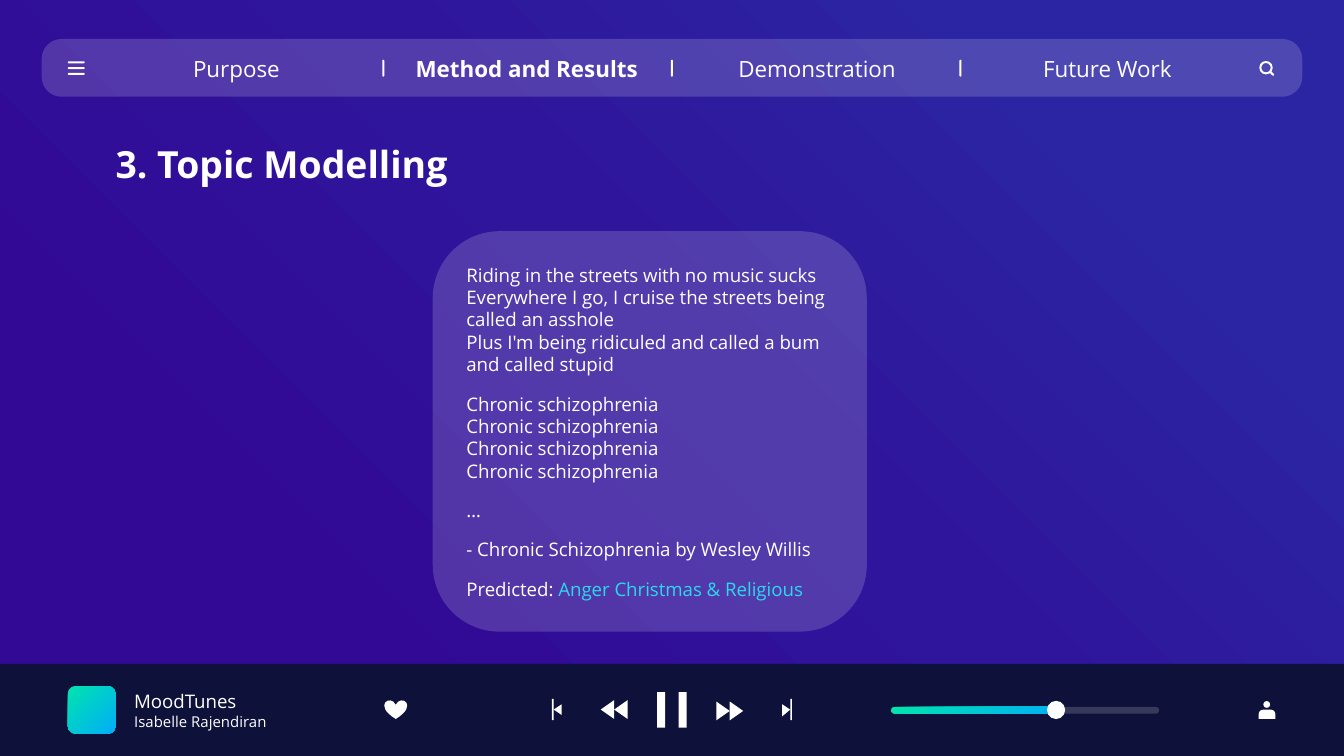
import copy
from dataclasses import dataclass

import lxml.etree
import pptx
import pptx.dml.color
import pptx.enum.shapes
import pptx.enum.text
import pptx.oxml.ns
import pptx.util

RGB = pptx.dml.color.RGBColor
SHAPE = pptx.enum.shapes.MSO_SHAPE
ALIGN = pptx.enum.text.PP_ALIGN
ANCHOR = pptx.enum.text.MSO_ANCHOR
qn = pptx.oxml.ns.qn

WHITE = RGB(0xFF, 0xFF, 0xFF)
NAVY = RGB(0x0E, 0x11, 0x39)
CYAN = RGB(0x00, 0xD1, 0xE9)
BACKDROP = [(0.21, RGB(0x31, 0x09, 0x95)), (0.53, RGB(0x2F, 0x15, 0x9B)),
            (0.82, RGB(0x2B, 0x25, 0xA3))]
ACCENT = [(0, RGB(0x00, 0xE4, 0xAE)), (1, RGB(0x00, 0xAE, 0xF8))]
FONT = "Open Sans"
GLASS = 17  # opacity of the pale panels, in percent
CELL = pptx.util.Inches(0.01)  # the grid has 1000 columns across the slide


@dataclass
class Box:
    col: float
    row: float
    cols: float
    rows: float

    def emu(self) -> list[int]:
        return [round(v * CELL) for v in (self.col, self.row, self.cols, self.rows)]


@dataclass
class Run:
    text: str
    size: float
    bold: bool = False
    color: RGB = WHITE


def set_gradient(fill, element, stops: list, angle: float) -> None:
    fill.gradient()
    fill.gradient_angle = angle
    gs_list = next(element.iter(qn("a:gsLst")))
    while len(gs_list) < len(stops):
        gs_list.append(copy.deepcopy(gs_list[0]))
    for stop, (position, color) in zip(fill.gradient_stops, stops):
        stop.position = position
        stop.color.rgb = color


def paint(sp, color: RGB = WHITE, opacity: int = 100) -> None:
    sp.shadow.inherit = False
    sp.line.fill.background()
    sp.fill.solid()
    sp.fill.fore_color.rgb = color
    if opacity < 100:
        clr = next(sp.element.iter(qn("a:srgbClr")))
        lxml.etree.SubElement(clr, qn("a:alpha"), val=str(opacity * 1000))


def add_shape(s, kind, box: Box, color: RGB = WHITE, opacity: int = 100, adj=()):
    sp = s.shapes.add_shape(kind, *box.emu())
    paint(sp, color, opacity)
    for i, value in enumerate(adj):
        sp.adjustments[i] = value
    return sp


def add_triangle(s, base: float, tip: float, middle: float, half: float) -> None:
    fb = s.shapes.build_freeform(base, middle - half, scale=CELL)
    fb.add_line_segments([(tip, middle), (base, middle + half)])
    paint(fb.convert_to_shape())


def write(p, runs: list[Run], align=ALIGN.LEFT) -> None:
    p.alignment = align
    for run in runs:
        for i, line in enumerate(run.text.split("\n")):
            if i:
                p.add_line_break()
            r = p.add_run()
            r.text = line
            r.font.name, r.font.size = FONT, pptx.util.Pt(run.size)
            r.font.bold, r.font.color.rgb = run.bold, run.color
    # Line breaks take the size of the text around them
    for br in p._p.findall(qn("a:br")):
        br.append(copy.deepcopy(p.runs[0]._r.rPr))


def fit_frame(sp, box: Box, anchor):
    sp.left, sp.top, sp.width, sp.height = box.emu()
    tf = sp.text_frame
    tf.word_wrap = True
    tf.auto_size = pptx.enum.text.MSO_AUTO_SIZE.NONE
    tf.vertical_anchor = anchor
    tf.margin_left = tf.margin_right = tf.margin_top = tf.margin_bottom = 10 * CELL
    return tf


def add_label(s, box: Box, lines: list[Run], align=ALIGN.LEFT) -> None:
    tf = fit_frame(s.shapes.add_textbox(*box.emu()), box, ANCHOR.MIDDLE)
    for i, run in enumerate(lines):
        write(tf.add_paragraph() if i else tf.paragraphs[0], [run], align)


def add_lyrics(s) -> None:
    verses = [
        [Run("Riding in the streets with no music sucks\n"
             "Everywhere I go, I cruise the streets being called an asshole\n"
             "Plus I'm being ridiculed and called a bum and called stupid", 10)],
        [Run("\n".join(["Chronic schizophrenia"] * 4), 10)],
        [Run("…", 10)],
        [Run("- Chronic Schizophrenia by Wesley Willis", 10)],
        [Run("Predicted: ", 10), Run("Anger Christmas & Religious", 10, color=CYAN)],
    ]
    tf = fit_frame(s.placeholders[1], Box(322, 186, 309, 279), ANCHOR.TOP)
    for i, verse in enumerate(verses):
        p = tf.add_paragraph() if i else tf.paragraphs[0]
        p.space_before, p.space_after = pptx.util.Pt(0), pptx.util.Pt(9)
        pPr = p._p.get_or_add_pPr()
        pPr.set("marL", str(15 * CELL))
        pPr.set("indent", "0")
        lxml.etree.SubElement(pPr, qn("a:buNone"))
        write(p, verse)
    add_shape(s, SHAPE.ROUNDED_RECTANGLE, Box(322, 172, 323, 298), WHITE, GLASS, [0.167])


def add_navigation(s) -> None:
    add_shape(s, SHAPE.ROUNDED_RECTANGLE, Box(31, 29, 938, 43), WHITE, GLASS, [0.344])
    for i, name in enumerate(["Purpose", "Method and Results", "Demonstration",
                              "Future Work"]):
        add_label(s, Box(76 + 216 * i, 33.5, 200, 35), [Run(name, 12, bold=i == 1)],
                  ALIGN.CENTER)
    for i in range(3):
        # Divider after a tab, and one bar of the menu icon
        add_shape(s, SHAPE.ROUNDED_RECTANGLE, Box(284.5 + 214.7 * i, 44.5, 1.5, 12.5),
                  adj=[0.5])
        add_shape(s, SHAPE.ROUNDED_RECTANGLE, Box(50.5, 45.7 + 4.3 * i, 12.5, 1.4),
                  adj=[0.5])
    # Search icon
    add_shape(s, SHAPE.DONUT, Box(937, 45.4, 10, 10), adj=[0.15])
    handle = add_shape(s, SHAPE.ROUNDED_RECTANGLE, Box(944, 53.8, 4.4, 1.5), adj=[0.5])
    handle.rotation = 45


def add_player(s, width: float) -> None:
    add_shape(s, SHAPE.RECTANGLE, Box(0, 494, width, 68.5), NAVY)
    # Cover and track name
    cover = add_shape(s, SHAPE.ROUNDED_RECTANGLE, Box(50.5, 510.5, 35.5, 35.5), adj=[0.167])
    set_gradient(cover.fill, cover.element, ACCENT, 315)
    add_label(s, Box(90, 511, 171, 35), [Run("MoodTunes", 10), Run("Isabelle Rajendiran", 8)])
    add_shape(s, SHAPE.HEART, Box(286, 521, 17, 14))
    # Pause, rewind and forward, previous and next
    for col in (489, 505):
        add_shape(s, SHAPE.RECTANGLE, Box(col, 515, 6, 26.5))
    for base in (457, 467):
        add_triangle(s, base, base - 10, 528, 7)
    for base in (533, 543):
        add_triangle(s, base, base + 10, 529, 7)
    add_triangle(s, 418, 412, 528, 4.3)
    add_triangle(s, 582, 588, 528.5, 4.3)
    for col in (410.7, 588):
        add_shape(s, SHAPE.RECTANGLE, Box(col, 520, 1.3, 16))
    # Volume slider
    add_shape(s, SHAPE.ROUNDED_RECTANGLE, Box(663, 526, 199.5, 5), WHITE, GLASS, [0.5])
    level = add_shape(s, SHAPE.ROUNDED_RECTANGLE, Box(663, 526, 129, 5), adj=[0.5])
    set_gradient(level.fill, level.element, ACCENT, 315)
    add_shape(s, SHAPE.OVAL, Box(779, 521.5, 13.5, 13.5))
    # Profile icon
    add_shape(s, SHAPE.ROUND_2_SAME_RECTANGLE, Box(936.5, 528, 12.5, 7), adj=[0.5, 0])
    add_shape(s, SHAPE.OVAL, Box(940, 521.7, 5, 5))


def main() -> None:
    prs = pptx.Presentation()
    prs.slide_width = pptx.util.Inches(10)
    prs.slide_height = prs.slide_width * 9 // 16
    s = prs.slides.add_slide(prs.slide_layouts[1])
    set_gradient(s.background.fill, s.element, BACKDROP, 45)

    add_player(s, prs.slide_width / CELL)
    add_navigation(s)
    tf = fit_frame(s.shapes.title, Box(76, 101, 513, 41), ANCHOR.MIDDLE)
    write(tf.paragraphs[0], [Run("3. Topic Modelling", 20, bold=True)])
    add_lyrics(s)
    prs.save("out.pptx")


if __name__ == "__main__":
    main()
